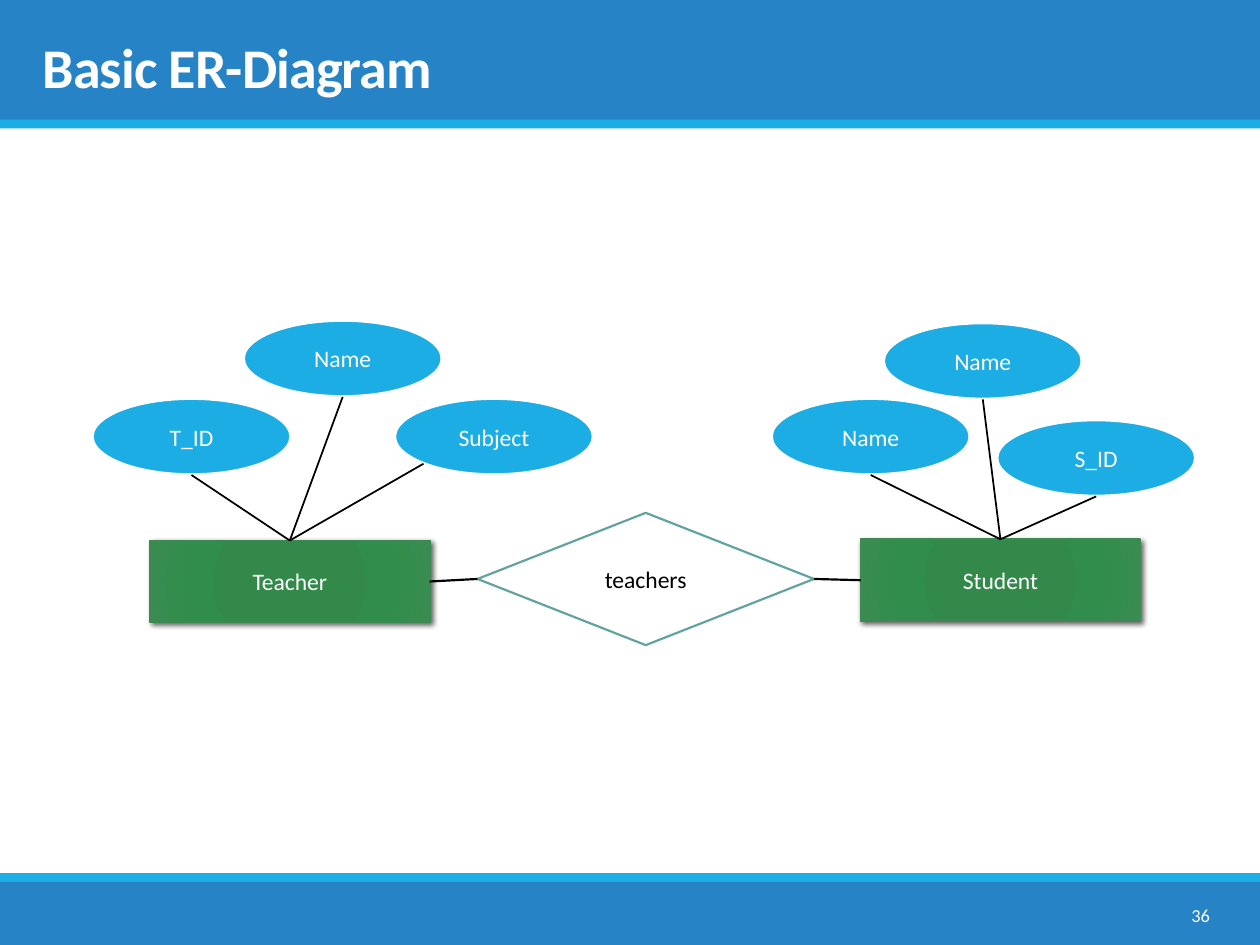
from lxml import etree
from pptx import Presentation
from pptx.dml.color import RGBColor
from pptx.enum.shapes import MSO_CONNECTOR, MSO_SHAPE
from pptx.enum.text import MSO_ANCHOR, PP_ALIGN
from pptx.oxml.ns import qn
from pptx.util import Inches, Pt

RECT, OVAL = MSO_SHAPE.RECTANGLE, MSO_SHAPE.OVAL
DIAMOND = MSO_SHAPE.FLOWCHART_DECISION
STRAIGHT = MSO_CONNECTOR.STRAIGHT
LEFT, CENTER, RIGHT = PP_ALIGN.LEFT, PP_ALIGN.CENTER, PP_ALIGN.RIGHT
MIDDLE, BOTTOM = MSO_ANCHOR.MIDDLE, MSO_ANCHOR.BOTTOM
TOP_SIDE, LEFT_SIDE, RIGHT_SIDE = 0, 1, 3
BLUE, SKY, WHITE, BLACK = "2683C6", "1CADE4", "FFFFFF", "000000"
TEAL, EDGE = "62A39F", "3E8853"
STOPS = [(0, "2F8949"), (34, "32894A"), (70, "318D4B"), (100, "3A8C51")]
OVAL_W, OVAL_H = 1.58, 0.61
DIAG = 0.5 ** 0.5


def color(code):
    return RGBColor.from_string(code)


def node(parent, tag, **attrs):
    return etree.SubElement(parent, qn(tag), attrs)


class Diagram:
    """Draws entity-relationship parts on one slide in a shared style."""

    def __init__(self, slide, font="Calibri", size=13.5):
        self.shapes, self.font, self.size = slide.shapes, font, size

    def label(self, shape, text, ink, size, align, anchor, bold=False):
        frame = shape.text_frame
        frame.word_wrap = True
        frame.vertical_anchor = anchor
        frame.text = text
        para = frame.paragraphs[0]
        para.alignment = align
        font = para.runs[0].font
        font.name, font.size, font.bold = self.font, Pt(size), bold
        font.color.rgb = color(ink)
        return para

    def text(self, box, text, size, align, anchor, bold=False):
        shape = self.shapes.add_textbox(*map(Inches, box))
        return self.label(shape, text, WHITE, size, align, anchor, bold)

    def shape(self, kind, box, fill, line=None, width=1, text="", ink=WHITE):
        shape = self.shapes.add_shape(kind, *map(Inches, box))
        shape.shadow.inherit = False
        shape.fill.solid()
        shape.fill.fore_color.rgb = color(fill)
        if line:
            shape.line.color.rgb = color(line)
            shape.line.width = Pt(width)
        else:
            shape.line.fill.background()
        if text:
            self.label(shape, text, ink, self.size, CENTER, MIDDLE)
        return shape

    def band(self, top, height, fill):
        self.shape(RECT, (0, top, 10, height), fill)

    def entity(self, left, top, text):
        shape = self.shape(RECT, (left, top, 2.22, 0.65), STOPS[0][1], EDGE, 1, text)
        props = shape._element.spPr
        grad = etree.Element(qn("a:gradFill"), rotWithShape="1")
        stops = node(grad, "a:gsLst")
        for pos, code in STOPS:
            stop = node(stops, "a:gs", pos=str(pos * 1000))
            node(stop, "a:srgbClr", val=code)
        focus = node(grad, "a:path", path="circle")
        node(focus, "a:fillToRect", **dict.fromkeys("ltrb", "100000"))
        props.replace(props.find(qn("a:solidFill")), grad)
        shade = node(props.find(qn("a:effectLst")), "a:outerShdw", blurRad=str(Pt(3)),
                     dist=str(Pt(2)), dir="2700000", rotWithShape="0")
        node(node(shade, "a:srgbClr", val=BLACK), "a:alpha", val="60000")
        return shape

    def line(self, start, side, end=(0, 0), width=1.0):
        line = self.shapes.add_connector(STRAIGHT, 0, 0, *map(Inches, end))
        line.begin_connect(start, side)
        line.line.color.rgb = color(BLACK)
        line.line.width = Pt(width)
        node(line._element.spPr, "a:effectLst")
        return line

    def link(self, start, finish):
        self.line(start, RIGHT_SIDE, width=1.25).end_connect(finish, LEFT_SIDE)

    def trait(self, owner, left, top, text, corner=False):
        self.shape(OVAL, (left, top, OVAL_W, OVAL_H), SKY, WHITE, 2, text)
        x, y = left + OVAL_W / 2, top + OVAL_H
        if corner:
            x -= OVAL_W / 2 * DIAG
            y -= OVAL_H / 2 * (1 - DIAG)
        self.line(owner, TOP_SIDE, (x, y))


def main():
    deck = Presentation()
    deck.slide_width, deck.slide_height = Inches(10), Inches(7.5)
    art = Diagram(deck.slides.add_slide(deck.slide_layouts[6]))

    for top, height, fill in [(0, 0.96, BLUE), (7, 0.5, BLUE),
                              (6.93, 0.07, SKY), (0.95, 0.07, SKY)]:
        art.band(top, height, fill)
    title = art.text((0.24, 0.08, 9.45, 0.76), "Basic ER-Diagram", 32, LEFT, BOTTOM, True)
    title.line_spacing = 0.85
    title.runs[0].font._element.set("spc", "-50")

    teacher = art.entity(1.19, 4.29, "Teacher")
    student = art.entity(6.83, 4.28, "Student")
    bond = art.shape(DIAMOND, (3.79, 4.07, 2.67, 1.05), WHITE, TEAL, 1.25, "teachers", BLACK)
    art.link(teacher, bond)
    art.link(bond, student)

    art.trait(teacher, 0.73, 3.16, "T_ID")
    art.trait(teacher, 1.93, 2.54, "Name")
    art.trait(teacher, 3.13, 3.16, "Subject", corner=True)
    art.trait(student, 7.01, 2.56, "Name")
    art.trait(student, 6.12, 3.16, "Name")
    art.trait(student, 7.91, 3.33, "S_ID")

    art.text((8.62, 7.06, 1.08, 0.4), "36", 10.5, RIGHT, MIDDLE)
    deck.save("out.pptx")


if __name__ == "__main__":
    main()
